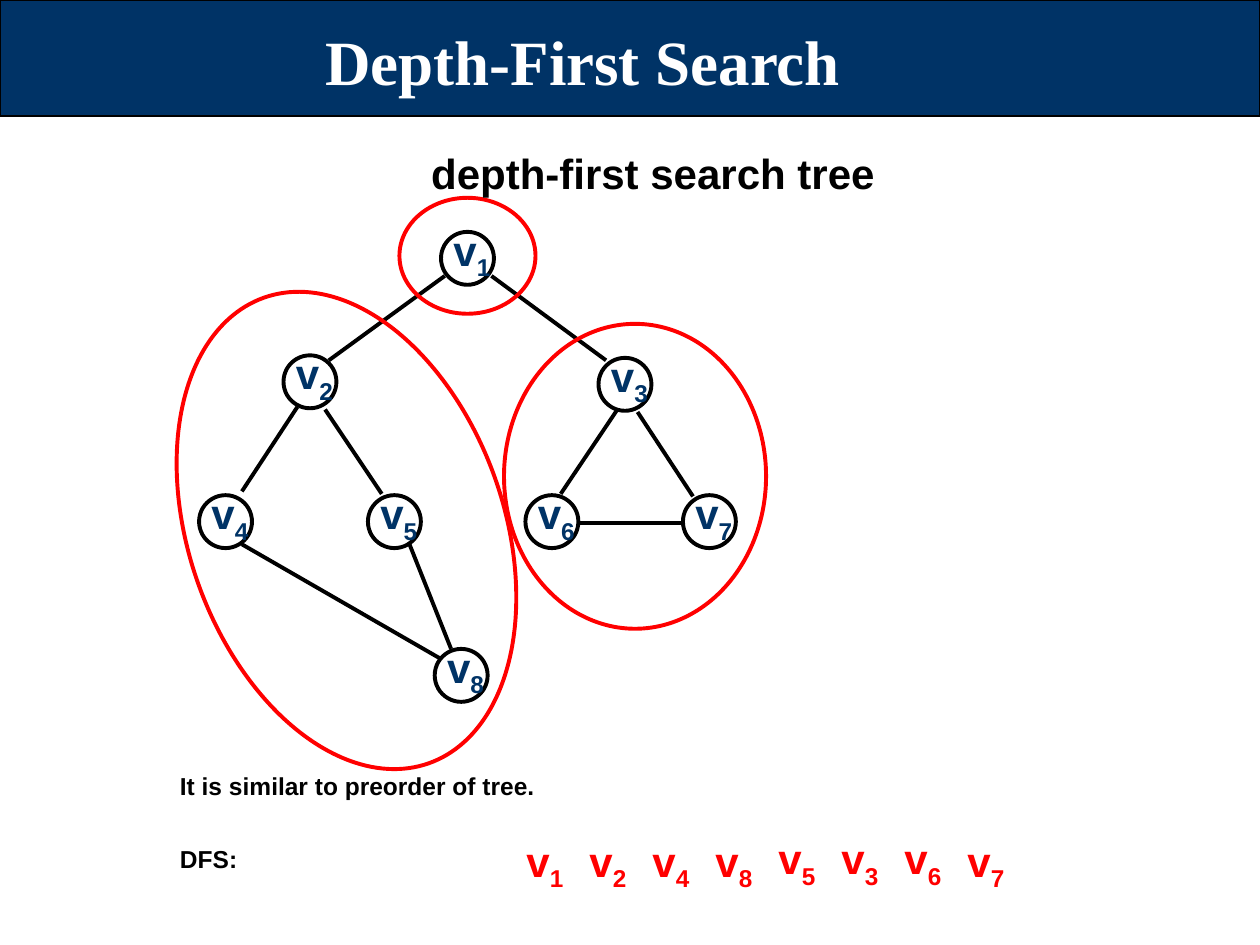
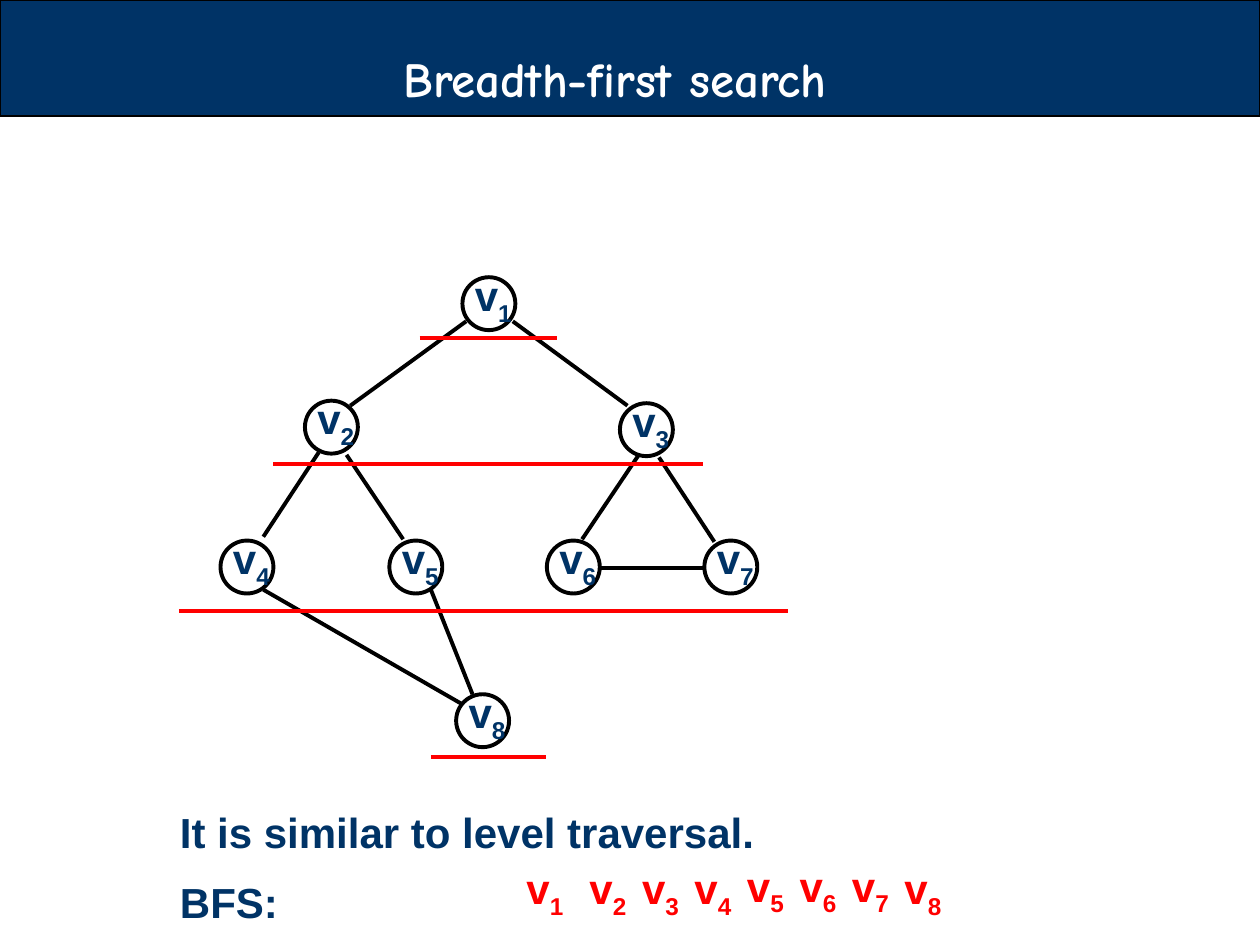
from pptx import Presentation
from pptx.dml.color import RGBColor
from pptx.enum.shapes import MSO_CONNECTOR as Connector, MSO_SHAPE as Shape
from pptx.enum.text import MSO_ANCHOR as Anchor, MSO_AUTO_SIZE as AutoSize, PP_ALIGN as Align
from pptx.oxml.ns import qn
from pptx.util import Inches, Pt
from lxml.etree import SubElement

NAVY, RED, BLACK, WHITE = "003366", "FF0000", "000000", "FFFFFF"
NODE_SIZE, LABEL_RISE = 0.42, 0.11

NODES = {1: (3.5, 1.84), 2: (2.25, 2.82), 3: (4.75, 2.84), 4: (1.58, 3.93),
         5: (2.92, 3.93), 6: (4.17, 3.93), 7: (5.42, 3.93), 8: (3.45, 5.15)}
EDGES = [(3.53, 2.19, 2.61, 2.86), (3.9, 2.19, 4.81, 2.86), (2.36, 3.23, 1.92, 3.9),
         (4.9, 3.25, 4.45, 3.92), (2.58, 3.25, 3.03, 3.92), (5.06, 3.27, 5.5, 3.94),
         (1.92, 4.32, 3.5, 5.23), (3.25, 4.32, 3.58, 5.15), (4.58, 4.15, 5.42, 4.15)]
SUBTREES = [(3.17, 1.57, 1.08, 0.92, 0), (1.5, 2.25, 2.5, 3.92, 340.5),
            (4, 2.57, 2.08, 2.42, 0)]
LEVELS = [(3.33, 4.42, 2.68), (2.17, 5.58, 3.68), (1.42, 6.25, 4.85), (3.42, 4.33, 6.01)]


def rgb(code):
    return RGBColor.from_string(code)


class Deck:
    """Holds the shared style and the current slide, and draws each kind of element."""

    def __init__(self):
        self.prs = Presentation()
        self.prs.slide_width, self.prs.slide_height = Inches(10), Inches(7.5)
        self.slide = None

    def new_slide(self):
        self.slide = self.prs.slides.add_slide(self.prs.slide_layouts[6])
        self.shape(Shape.RECTANGLE, 0, 0, 10, 0.92, BLACK, fill=NAVY, weight=0.75)

    def shape(self, kind, x, y, w, h, line, fill=None, weight=2.25):
        shape = self.slide.shapes.add_shape(kind, Inches(x), Inches(y), Inches(w), Inches(h))
        shape.shadow.inherit = False
        if fill:
            shape.fill.solid()
            shape.fill.fore_color.rgb = rgb(fill)
        else:
            shape.fill.background()
        shape.line.color.rgb = rgb(line)
        shape.line.width = Pt(weight)
        return shape

    def line(self, x1, y1, x2, y2, color=BLACK):
        line = self.slide.shapes.add_connector(
            Connector.STRAIGHT, Inches(x1), Inches(y1), Inches(x2), Inches(y2))
        line.line.color.rgb = rgb(color)
        line.line.width = Pt(2.25)
        SubElement(line._element.spPr, qn("a:effectLst"))

    def text(self, words, x, y, w, h, size=24, color=BLACK, font="Arial", subscript=None,
             align=Align.LEFT, before=0, grow=True, wrap=True):
        box = self.slide.shapes.add_textbox(Inches(x), Inches(y), Inches(w), Inches(h))
        frame = box.text_frame
        frame.word_wrap = wrap
        frame.auto_size = AutoSize.SHAPE_TO_FIT_TEXT if grow else AutoSize.NONE
        paragraph = frame.paragraphs[0]
        paragraph.alignment = align
        paragraph.space_before = Pt(before)
        for part in (words, subscript):
            if part is None:
                continue
            run = paragraph.add_run()
            run.text = str(part)
            run.font.name, run.font.size, run.font.bold = font, Pt(size), True
            run.font.color.rgb = rgb(color)
            if part is subscript:
                run.font._element.set("baseline", "-25000")
        return frame

    def title(self, words, x, y, w, h, size, font):
        return self.text(words, x, y, w, h, size, WHITE, font, align=Align.CENTER, grow=False)

    def vertex(self, number, x, y, w, color):
        self.text("v", x, y, w, 0.56, color=color, subscript=number, before=15)

    def graph(self, dx=0, dy=0):
        for number, (x, y) in NODES.items():
            self.shape(Shape.OVAL, x + dx, y + dy, NODE_SIZE, NODE_SIZE, BLACK)
            self.vertex(number, x + dx, y + dy - LABEL_RISE, 0.75, NAVY)
        for x1, y1, x2, y2 in EDGES:
            self.line(x1 + dx, y1 + dy, x2 + dx, y2 + dy)

    def visit_order(self, numbers, lefts, top):
        for place, (number, left) in enumerate(zip(numbers, lefts)):
            lift = 0.02 if 4 <= place <= 6 else 0
            self.vertex(number, left, top - lift, 1.08, RED)


def depth_first(deck):
    deck.new_slide()
    deck.text("It is similar to preorder of tree.", 1.33, 6.07, 6.5, 0.34, 14, before=8.8)
    deck.graph()
    for x, y, w, h, angle in SUBTREES:
        deck.shape(Shape.OVAL, x, y, w, h, RED).rotation = angle
    deck.text("DFS:", 1.33, 6.65, 3.08, 0.34, 14, before=8.8)
    deck.visit_order([1, 2, 4, 8, 5, 3, 6, 7], [4.08 + 0.5 * i for i in range(8)], 6.58)
    deck.text("depth-first search tree", 3.32, 1.12, 3.72, 0.5, align=Align.RIGHT, wrap=False)
    deck.title("Depth-First Search", 0.25, 0.13, 8.75, 0.75, 36, "Times New Roman")


def breadth_first(deck):
    deck.new_slide()
    deck.text("It is similar to level traversal.", 1.33, 6.35, 5.95, 0.5, color=NAVY, before=15)
    deck.text("BFS:", 1.33, 6.91, 3.08, 0.5, color=NAVY, before=15)
    deck.visit_order(range(1, 9), [4.08] + [4.58 + 5 / 12 * i for i in range(7)], 6.8)
    deck.graph(0.17, 0.36)
    for left, right, y in LEVELS:
        deck.line(left, y, right, y, RED)
    heading = deck.title("Breadth-first search", 1.3, 0.28, 7.16, 0.62, 28, "Comic Neue")
    heading.vertical_anchor = Anchor.BOTTOM
    heading.paragraphs[0].line_spacing = 0.8


def main():
    deck = Deck()
    depth_first(deck)
    breadth_first(deck)
    deck.prs.save("out.pptx")


if __name__ == "__main__":
    main()
